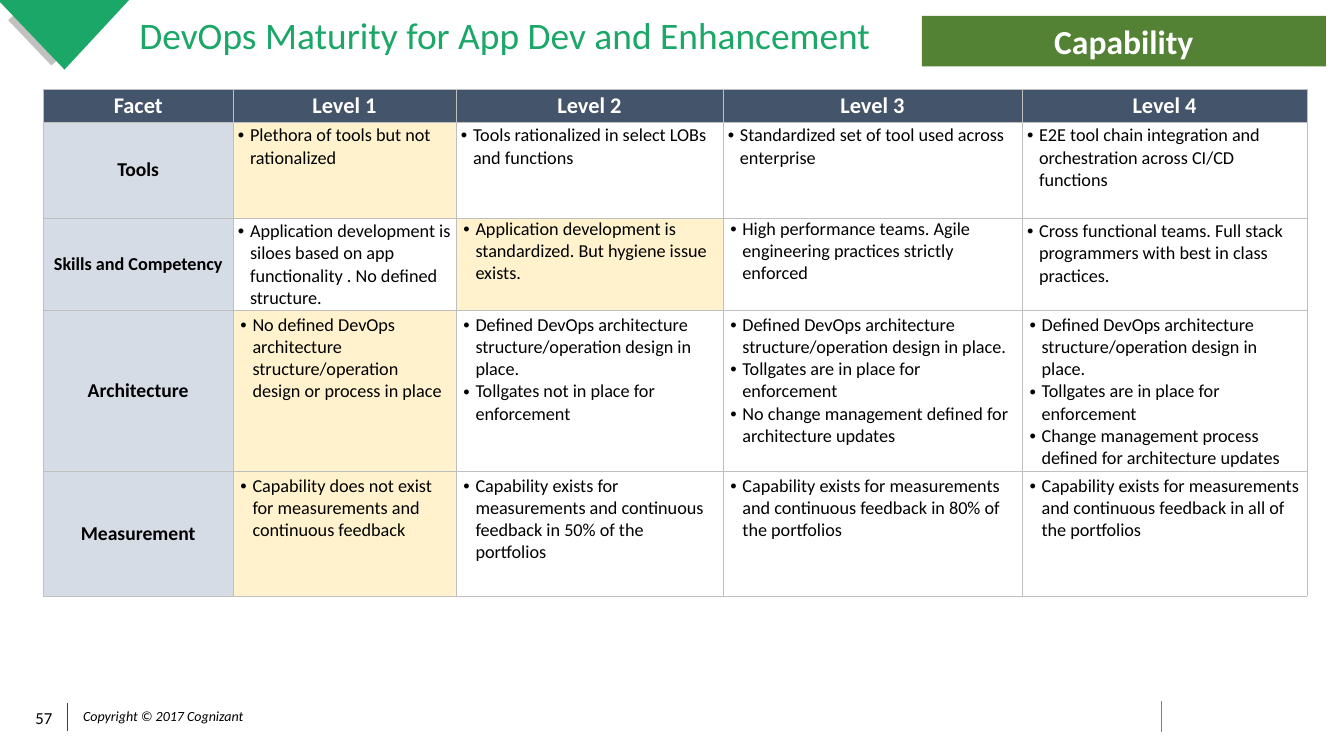
from lxml.etree import SubElement
from pptx import Presentation
from pptx.dml.color import RGBColor
from pptx.enum.shapes import MSO_CONNECTOR, MSO_SHAPE
from pptx.enum.text import MSO_ANCHOR, PP_ALIGN
from pptx.oxml import parse_xml
from pptx.oxml.ns import nsdecls, qn
from pptx.util import Pt

BLACK = RGBColor(0x00, 0x00, 0x00)
WHITE = RGBColor(0xFF, 0xFF, 0xFF)
BRAND_GREEN = RGBColor(0x1A, 0xA7, 0x67)
BANNER_GREEN = RGBColor(0x54, 0x82, 0x35)
SHADE_GRAY = RGBColor(0xC1, 0xC1, 0xC0)
DARK_RULE = RGBColor(0x40, 0x40, 0x40)
LIGHT_RULE = RGBColor(0x80, 0x80, 0x80)
BORDER = RGBColor(0xBF, 0xBF, 0xBF)
HEADER = RGBColor(0x44, 0x54, 0x6A)
FACET = RGBColor(0xD6, 0xDC, 0xE5)
CURRENT = RGBColor(0xFF, 0xF2, 0xCC)

HEAD_INSET = (2.2, 2.2)
TIGHT = (0.7, 0.7)
NARROW = (3.6, 1.8)
FLUSH = (5.4, 0)
WIDE = (5.4, 2.7)

COLUMNS = [135.4, 159.3, 190.7, 213.7, 203.6]
HEADINGS = ["Facet", "Level 1", "Level 2", "Level 3", "Level 4"]
DESIGN = "Defined DevOps architecture structure/operation design in place."
TOLLGATES = "Tollgates are in place for enforcement"
EXISTS = "Capability exists for measurements and continuous feedback in {} the portfolios"

FACETS = [
    ("Tools", 14, TIGHT, 68.4, 1, [
        (NARROW, ["Plethora of tools but not rationalized"]),
        (NARROW, ["Tools rationalized in select LOBs and functions"]),
        (NARROW, ["Standardized set of tool used across enterprise"]),
        (NARROW, ["E2E tool chain integration and orchestration across CI/CD functions"]),
    ]),
    ("Skills and Competency", 13, WIDE, 64.1, 2, [
        (NARROW, ["Application development is siloes based on app functionality . "
                  "No defined structure."]),
        (FLUSH, ["Application development is standardized. But hygiene issue exists."]),
        (FLUSH, ["High performance teams. Agile engineering practices strictly enforced"]),
        (NARROW, ["Cross functional teams. Full stack programmers with best in class practices."]),
    ]),
    ("Architecture", 14, TIGHT, 105.1, 1, [
        (WIDE, ["No defined DevOps architecture structure/operation design or process in place"]),
        (WIDE, [DESIGN, "Tollgates not in place for enforcement"]),
        (WIDE, [DESIGN, TOLLGATES, "No change management defined for architecture updates"]),
        (WIDE, [DESIGN, TOLLGATES, "Change management process defined for architecture updates"]),
    ]),
    ("Measurement", 14, WIDE, 89.3, 1, [
        (WIDE, ["Capability does not exist for measurements and continuous feedback"]),
        (WIDE, [EXISTS.format("50% of")]),
        (WIDE, [EXISTS.format("80% of")]),
        (WIDE, [EXISTS.format("all of")]),
    ]),
]


def style(p, size, color, bold=False, italic=False, align=PP_ALIGN.LEFT):
    p.alignment = align
    for r in p.runs:
        r.font.name = "Calibri"
        r.font.size = Pt(size)
        r.font.bold = bold
        r.font.italic = italic
        r.font.color.rgb = color


def set_insets(box, side, end):
    box.margin_left = box.margin_right = Pt(side)
    box.margin_top = box.margin_bottom = Pt(end)


def add_text(s, text, x, y, w, h, size, color, insets=(7.2, 3.6), wrap=True, **look):
    tf = s.shapes.add_textbox(Pt(x), Pt(y), Pt(w), Pt(h)).text_frame
    tf.word_wrap = wrap
    tf.vertical_anchor = MSO_ANCHOR.MIDDLE
    set_insets(tf, *insets)
    tf.text = text
    style(tf.paragraphs[0], size, color, **look)
    return tf


def add_rule(s, x, top, bottom, color):
    line = s.shapes.add_connector(MSO_CONNECTOR.STRAIGHT, Pt(x), Pt(top), Pt(x), Pt(bottom))
    line.line.color.rgb = color
    line.line.width = Pt(0.5)
    SubElement(line._element.spPr, qn("a:effectLst"))


def paint(sp, color):
    sp.shadow.inherit = False
    sp.fill.solid()
    sp.fill.fore_color.rgb = color
    sp.line.fill.background()


def add_outline(s, points, color):
    start, *rest = [(Pt(x), Pt(y)) for x, y in points]
    builder = s.shapes.build_freeform(*start)
    builder.add_line_segments(rest, close=True)
    paint(builder.convert_to_shape(), color)


def add_banner(s, text, x, y, w, h):
    sp = s.shapes.add_shape(MSO_SHAPE.RECTANGLE, Pt(x), Pt(y), Pt(w), Pt(h))
    paint(sp, BANNER_GREEN)
    tf = sp.text_frame
    tf.vertical_anchor = MSO_ANCHOR.MIDDLE
    tf.text = text
    style(tf.paragraphs[0], 24, WHITE, bold=True, align=PP_ALIGN.CENTER)


def add_bullet(p):
    pPr = p._p.get_or_add_pPr()
    pPr.set("marL", str(Pt(8.6)))
    pPr.set("indent", str(-Pt(8.6)))
    SubElement(pPr, qn("a:buFont")).set("typeface", "Arial")
    SubElement(pPr, qn("a:buChar")).set("char", "•")


def fill_cell(cell, lines, insets, fill):
    cell.fill.solid()
    cell.fill.fore_color.rgb = fill
    set_insets(cell, *insets)
    tcPr = cell._tc.get_or_add_tcPr()
    for i, side in enumerate(("lnL", "lnR", "lnT", "lnB")):
        tcPr.insert(i, parse_xml(
            f'<a:{side} {nsdecls("a")} w="{Pt(0.5)}"><a:solidFill>'
            f'<a:srgbClr val="{BORDER}"/></a:solidFill></a:{side}>'))
    cell.text_frame.text = "\n".join(lines)


def fill_label(cell, text, size, color, insets, fill):
    fill_cell(cell, [text], insets, fill)
    cell.vertical_anchor = MSO_ANCHOR.MIDDLE
    style(cell.text_frame.paragraphs[0], size, color, bold=True, align=PP_ALIGN.CENTER)


def fill_level(cell, lines, insets, fill):
    fill_cell(cell, lines, insets, fill)
    for p in cell.text_frame.paragraphs:
        add_bullet(p)
        style(p, 13, BLACK)


def add_maturity_table(s, x, y):
    heights = [21.6] + [facet[3] for facet in FACETS]
    table = s.shapes.add_table(len(heights), len(COLUMNS), Pt(x), Pt(y),
                               Pt(sum(COLUMNS)), Pt(sum(heights))).table
    table.first_row = table.horz_banding = False
    for column, width in zip(table.columns, COLUMNS):
        column.width = Pt(width)
    for row, height in zip(table.rows, heights):
        row.height = Pt(height)
    for col, heading in enumerate(HEADINGS):
        fill_label(table.cell(0, col), heading, 16, WHITE, HEAD_INSET, HEADER)
    for row, (name, size, insets, _, current, levels) in enumerate(FACETS, 1):
        fill_label(table.cell(row, 0), name, size, BLACK, insets, FACET)
        for col, (level_insets, lines) in enumerate(levels, 1):
            fill = CURRENT if col == current else WHITE
            fill_level(table.cell(row, col), lines, level_insets, fill)


def main():
    prs = Presentation()
    prs.slide_width, prs.slide_height = Pt(960), Pt(540)
    s = prs.slides.add_slide(prs.slide_layouts[6])
    add_rule(s, 48.2, 502, 522, DARK_RULE)
    add_rule(s, 829.4, 500.4, 522.7, LIGHT_RULE)
    add_outline(s, [(43.2, 41), (36.7, 46.8), (5.8, 14.4), (12.2, 8.6)], SHADE_GRAY)
    add_outline(s, [(46.1, 49.7), (92.2, 0), (-1.4, 0)], BRAND_GREEN)
    add_text(s, "Copyright © 2017 Cognizant", 51.8, 503.3, 129.6, 16.6, 10, BLACK,
             insets=(4.3, 2.2), italic=True, align=PP_ALIGN.CENTER)
    add_text(s, "57", 11.5, 501.8, 39.6, 21.6, 12, BLACK,
             insets=(0, 0), wrap=False, align=PP_ALIGN.CENTER)
    title = add_text(s, "DevOps Maturity for App Dev and Enhancement",
                     92.5, 6.5, 847.4, 40.3, 26.7, BRAND_GREEN)
    title.paragraphs[0].line_spacing = 0.9
    add_maturity_table(s, 31, 63.6)
    add_banner(s, "Capability", 658.4, 11.3, 288.7, 36.2)
    prs.save("out.pptx")


if __name__ == "__main__":
    main()
